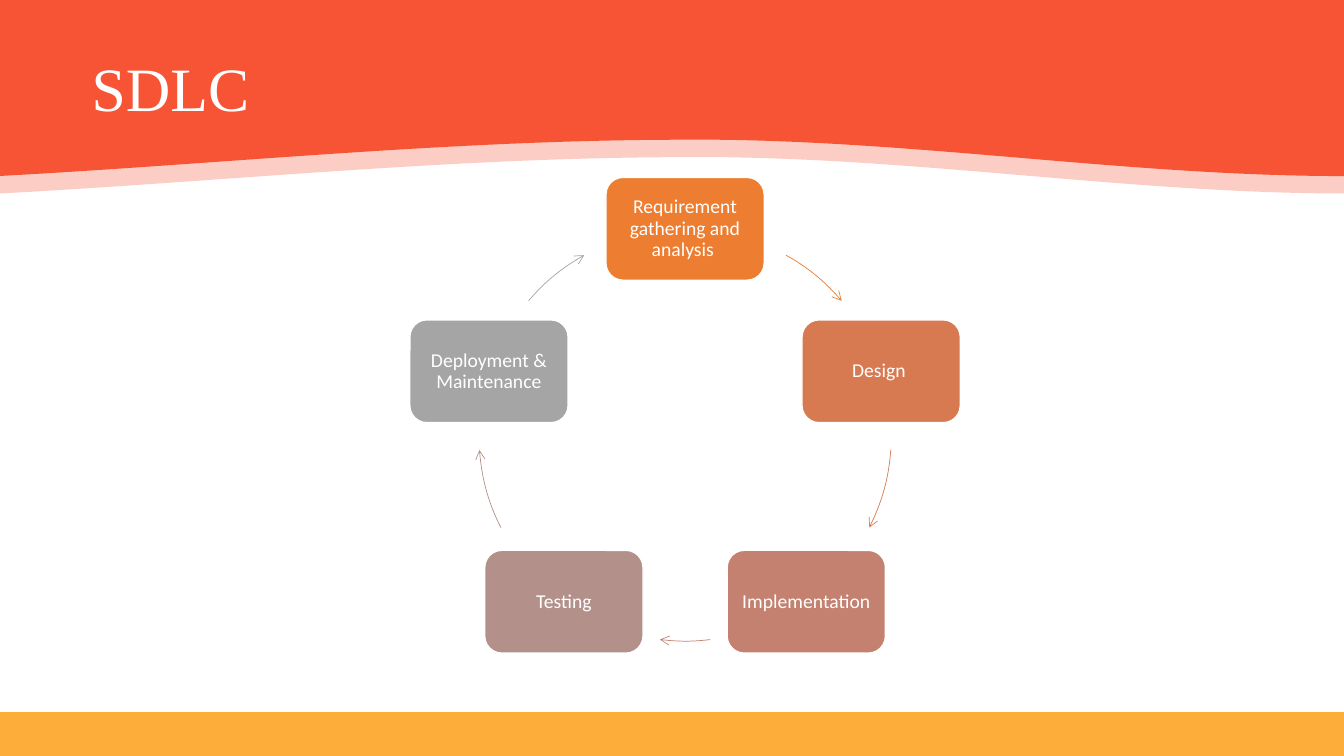
from dataclasses import dataclass
from math import cos, radians, sin, tan

from lxml.etree import SubElement
from pptx import Presentation
from pptx.dml.color import RGBColor
from pptx.enum.shapes import MSO_SHAPE
from pptx.enum.text import MSO_ANCHOR, MSO_AUTO_SIZE, PP_ALIGN
from pptx.oxml.ns import qn
from pptx.shapes.autoshape import Shape
from pptx.slide import Slide
from pptx.text.text import Font
from pptx.util import Inches, Pt

Point = tuple[float, float]
Segment = tuple[str, list[Point]]

COLOURS = {
    "white": "FFFFFF",
    "header": "F75435",
    "footer": "FDAD39",
    "requirement": "ED7D31",
    "design": "D87A51",
    "implementation": "C48170",
    "testing": "B4908B",
    "deployment": "A5A5A5",
}
CYCLE_LEFT, CYCLE_TOP, CYCLE_SIZE = 4.75, 2.27, 4.09
RADIUS = CYCLE_SIZE / 2
BOX_WIDTH, BOX_HEIGHT = 1.57, 1.02
WAVE_WIDTH, WAVE_HEIGHT = 13.35, 1.74
WAVE_SEGMENTS: list[Segment] = [
    ("a:moveTo", [(0, 0)]),
    ("a:lnTo", [(13.35, 0)]),
    ("a:lnTo", [(13.35, 1.74)]),
    ("a:cubicBezTo", [(11.11, 1.74), (8.93, 1.35), (6.66, 1.38)]),
    ("a:cubicBezTo", [(4.42, 1.39), (2.22, 1.62), (0, 1.74)]),
    ("a:lnTo", [(0, 0)]),
    ("a:close", []),
]


@dataclass(frozen=True)
class Stage:
    label: str
    colour: str
    arrow_start: float
    arrow_end: float


STAGES = [
    Stage("Requirement gathering and analysis ", "requirement", 29.3, 49.4),
    Stage("Design ", "design", 94.2, 116.7),
    Stage("Implementation", "implementation", 173, 187),
    Stage("Testing", "testing", 243.3, 265.8),
    Stage("Deployment & Maintenance", "deployment", 310.6, 330.7),
]


def colour_of(name: str) -> RGBColor:
    return RGBColor.from_string(COLOURS[name])


def paint(shape: Shape, fill: str, line: str) -> None:
    shape.shadow.inherit = False
    shape.fill.solid()
    shape.fill.fore_color.rgb = colour_of(fill)
    shape.line.color.rgb = colour_of(line)
    shape.line.width = Pt(1)


def style_font(font: Font, name: str, size: float) -> None:
    font.name = name
    font.size = Pt(size)
    font.color.rgb = colour_of("white")


def point_on_cycle(angle: float) -> Point:
    turn = radians(angle)
    return RADIUS * (1 + sin(turn)), RADIUS * (1 - cos(turn))


def add_curve(page: Slide, left: float, top: float, width: float, height: float,
              segments: list[Segment]) -> Shape:
    builder = page.shapes.build_freeform(Inches(left), Inches(top))
    builder.add_line_segments([(Inches(left + width), Inches(top + height))], close=False)
    curve = builder.convert_to_shape()
    outline = next(curve.element.iter(qn("a:path")))
    for step in list(outline):
        outline.remove(step)
    for tag, points in segments:
        step = SubElement(outline, qn(tag))
        for x, y in points:
            SubElement(step, qn("a:pt"), x=str(Inches(x)), y=str(Inches(y)))
    return curve


def add_wave(page: Slide, left: float, top: float) -> Shape:
    wave = add_curve(page, left, top, WAVE_WIDTH, WAVE_HEIGHT, WAVE_SEGMENTS)
    paint(wave, "header", "header")
    return wave


def add_header_and_footer(page: Slide) -> None:
    pale_wave = add_wave(page, 0, 0.18)
    pale_wave.line.fill.background()
    tint = pale_wave.fill._xPr.find(qn("a:solidFill"))[0]
    SubElement(tint, qn("a:alpha"), val="29000")
    footer = page.shapes.add_shape(
        MSO_SHAPE.ROUNDED_RECTANGLE,
        Inches(-0.02), Inches(7.07), Inches(13.35), Inches(0.44))
    footer.adjustments[0] = 0
    paint(footer, "footer", "footer")
    add_wave(page, -0.02, 0)


def add_title(page: Slide) -> None:
    title = page.shapes.title
    title.left, title.top = Inches(0.81), Inches(0.45)
    title.width, title.height = Inches(1.78), Inches(0.84)
    page.shapes.element.append(title.element)
    frame = title.text_frame
    frame.text = "SDLC"
    frame.word_wrap = False
    frame.auto_size = MSO_AUTO_SIZE.SHAPE_TO_FIT_TEXT
    frame.vertical_anchor = MSO_ANCHOR.TOP
    para = frame.paragraphs[0]
    para.alignment = PP_ALIGN.LEFT
    style_font(para.font, "Times New Roman", 44)


def add_stage_box(page: Slide, stage: Stage, angle: float) -> None:
    x, y = point_on_cycle(angle)
    box = page.shapes.add_shape(
        MSO_SHAPE.ROUNDED_RECTANGLE,
        Inches(CYCLE_LEFT + x - BOX_WIDTH / 2), Inches(CYCLE_TOP + y - BOX_HEIGHT / 2),
        Inches(BOX_WIDTH), Inches(BOX_HEIGHT))
    paint(box, stage.colour, "white")
    frame = box.text_frame
    frame.text = stage.label
    frame.word_wrap = True
    frame.vertical_anchor = MSO_ANCHOR.MIDDLE
    frame.margin_left = frame.margin_right = Inches(0.06)
    frame.margin_top = frame.margin_bottom = Inches(0.06)
    para = frame.paragraphs[0]
    para.alignment = PP_ALIGN.CENTER
    para.line_spacing = 0.9
    style_font(para.font, "Calibri", 14)


def add_stage_arrow(page: Slide, stage: Stage) -> None:
    start, end = radians(stage.arrow_start), radians(stage.arrow_end)
    start_x, start_y = point_on_cycle(stage.arrow_start)
    end_x, end_y = point_on_cycle(stage.arrow_end)
    handle = RADIUS * 4 / 3 * tan((end - start) / 4)
    bend = [
        (start_x + handle * cos(start), start_y + handle * sin(start)),
        (end_x - handle * cos(end), end_y - handle * sin(end)),
        (end_x, end_y),
    ]
    arrow = add_curve(page, CYCLE_LEFT, CYCLE_TOP, CYCLE_SIZE, CYCLE_SIZE,
                      [("a:moveTo", [(start_x, start_y)]), ("a:cubicBezTo", bend)])
    arrow.shadow.inherit = False
    arrow.fill.background()
    arrow.line.color.rgb = colour_of(stage.colour)
    arrow.line.width = Pt(0.5)
    SubElement(arrow.line._get_or_add_ln(), qn("a:tailEnd"), type="arrow")


def main() -> None:
    deck = Presentation()
    deck.slide_width, deck.slide_height = Inches(13.33), Inches(7.5)
    page = deck.slides.add_slide(deck.slide_layouts[5])
    add_header_and_footer(page)
    add_title(page)
    for index, stage in enumerate(STAGES):
        add_stage_box(page, stage, index * 360 / len(STAGES))
        add_stage_arrow(page, stage)
    deck.save("out.pptx")


if __name__ == "__main__":
    main()
